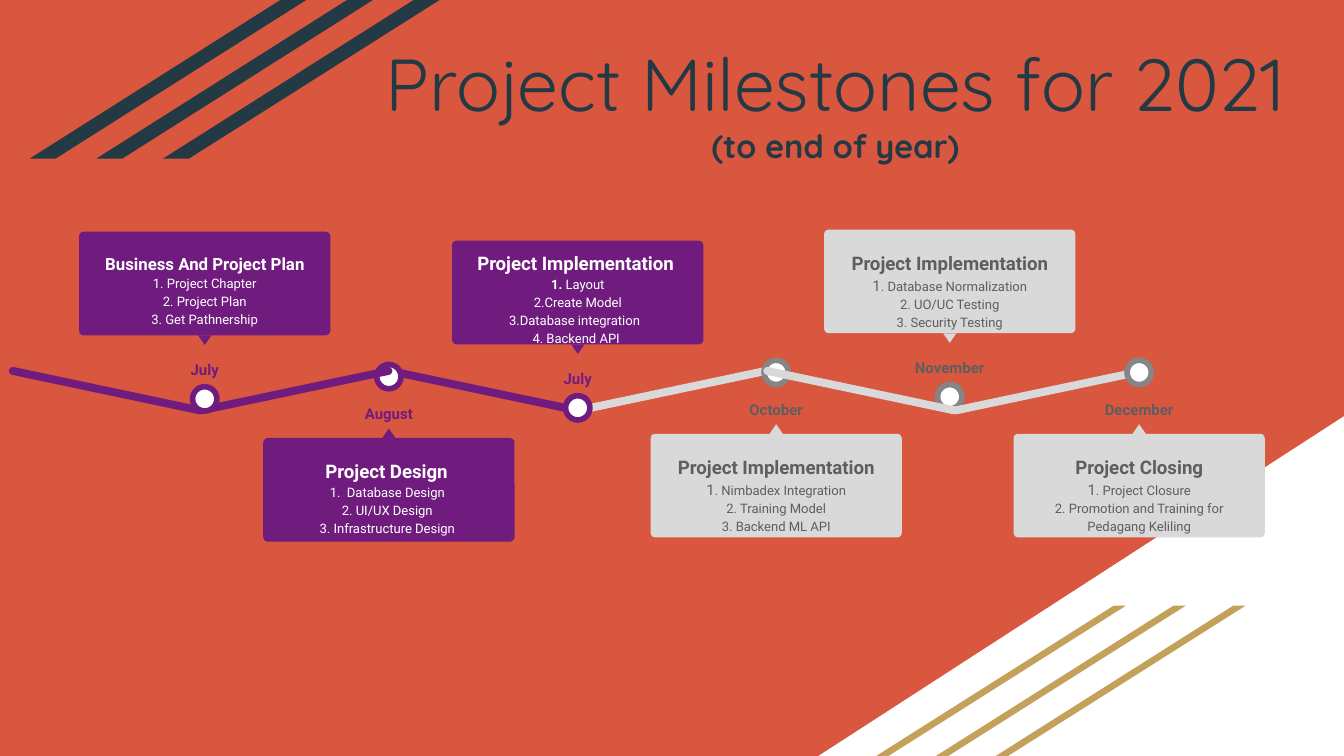
from pptx import Presentation
from pptx.dml.color import RGBColor
from pptx.enum.shapes import MSO_SHAPE
from pptx.enum.text import MSO_ANCHOR, PP_ALIGN
from pptx.util import Cm, Pt

ROUNDED, TRIANGLE = MSO_SHAPE.ROUNDED_RECTANGLE, MSO_SHAPE.ISOSCELES_TRIANGLE
CORNER, STRIPE, OVAL = MSO_SHAPE.RIGHT_TRIANGLE, MSO_SHAPE.PARALLELOGRAM, MSO_SHAPE.OVAL
TOP, MIDDLE, CENTER = MSO_ANCHOR.TOP, MSO_ANCHOR.MIDDLE, PP_ALIGN.CENTER

THEME = {
    "color": {"bg": "D9563F", "white": "FFFFFF", "gold": "C4A15A", "navy": "233A44",
              "purple": "701C7F", "light": "D9D9D9", "ring": "858585", "gray": "5E5E5E"},
    "size": {"title": 39.4, "subtitle": 17.4, "heading": 10, "long": 9, "label": 8, "item": 7},
    "display": "Quicksand", "body": "Roboto",
}
# Milestone state: card fill, ring colour, label colour, card text colour
STATES = {"done": ("purple", "purple", "purple", "white"),
          "planned": ("light", "ring", "gray", "gray")}


def add_text(box, lines, color, font, anchor=TOP, spacing=1.15):
    """Write centred lines, each a list of (text, size name, bold) runs."""
    s = slide.shapes.add_textbox(*map(Cm, box))
    tf = s.text_frame
    frame = {"word_wrap": True, "vertical_anchor": anchor}
    frame.update({f"margin_{side}": Cm(0.25) for side in ("left", "right", "top", "bottom")})
    for name, value in frame.items():
        setattr(tf, name, value)
    p = tf.paragraphs[0]
    p.alignment, p.line_spacing = CENTER, spacing
    for i, line in enumerate(lines):
        if i:
            p.add_line_break()
        for text, size, bold in line:
            r = p.add_run()
            r.text = text
            style = {"name": font, "size": Pt(THEME["size"][size]), "bold": bold}
            for name, value in style.items():
                setattr(r.font, name, value)
            r.font.color.rgb = RGBColor.from_string(THEME["color"][color])


def add_shape(kind, box, fill, adj=None, rotation=0, line=None):
    s = slide.shapes.add_shape(kind, *map(Cm, box))
    s.shadow.inherit = False
    s.fill.solid()
    s.fill.fore_color.rgb = RGBColor.from_string(THEME["color"][fill])
    if line:
        s.line.color.rgb = RGBColor.from_string(THEME["color"][line])
        s.line.width = Pt(3)
    else:
        s.line.fill.background()
    if adj is not None:
        s.adjustments[0] = adj
    s.rotation = rotation
    return s


prs = Presentation()
prs.slide_width, prs.slide_height = Cm(25.4), Cm(14.29)
slide = prs.slides.add_slide(prs.slide_layouts[6])
slide.background.fill.solid()
slide.background.fill.fore_color.rgb = RGBColor.from_string(THEME["color"]["bg"])

# Corner and diagonal stripes
corner = add_shape(CORNER, (15.47, 7.87, 9.93, 6.42), "white")
corner._element.spPr.xfrm.set("flipH", "1")
for x, y, w, h, step, color in ((16.56, 11.45, 4.72, 2.84, 1.13, "gold"),
                                (0.56, 0, 5.23, 3, 1.26, "navy")):
    for i in range(3):
        add_shape(STRIPE, (x + i * step, y, w, h), color, 1.58)

# Title
add_text((6.05, 0, 19.48, 3.84),
         [[("Project Milestones for 2021", "title", False)],
          [("(to end of year)", "subtitle", True)]],
         "navy", THEME["display"], MIDDLE, 1.0)

# Milestones from back to front: bars drawn just before, centre x, card top, above the
# line, state, label, heading, heading size, text shift, first number, items
NUMBER = ("1", "label", False)
PLAIN = ("1", "item", False)
MILESTONES = [
    ([3], 17.95, 4.34, True, "planned", "November", "Project Implementation", "heading", 0.1,
     NUMBER, [". Database Normalization", "2. UO/UC Testing", "3. Security Testing"]),
    ([2], 7.35, 8.28, False, "done", "August", "Project Design ", "heading", 0.1,
     PLAIN, [".  Database Design ", "2. UI/UX Design ", "3. Infrastructure Design "]),
    ([1], 14.67, 8.2, False, "planned", "October", "Project Implementation", "heading", 0.1,
     NUMBER, [". Nimbadex Integration", "2. Training Model", "3. Backend ML API"]),
    ([5, 4, 0], 3.87, 4.38, True, "done", "July", "Business And Project Plan", "long", 0.1,
     PLAIN, [". Project Chapter", "2. Project Plan", "3. Get Pathnership"]),
    ([], 10.92, 4.55, True, "done", "July", "Project Implementation ", "heading", -0.1,
     ("1. ", "item", True),
     ["Layout", "2.Create Model", "3.Database integration  ", "4. Backend API "]),
    ([], 21.53, 8.2, False, "planned", "December", "Project Closing", "heading", 0.1,
     NUMBER, [". Project Closure", "2. Promotion and Training for Pedagang Keliling"]),
]
CARD_W, CARD_H, TIP_W, TIP_H, DOT = 4.75, 1.96, 0.25, 0.18, 0.46
LABEL_W, LABEL_H, TEXT_W, TEXT_H = 1.93, 0.76, 4.52, 1.73

for bars, cx, top, above, state, label, heading, size, shift, number, items in MILESTONES:
    card, ring, label_color, text_color = STATES[state]

    # Zigzag bars, alternately falling and rising
    for i in bars:
        add_shape(ROUNDED, (0.13 + 3.565 * i, 7.31, 3.76, 0.15),
                  "purple" if i < 3 else "light", 0.5, -11.9 if i % 2 else 11.9)

    # Dot, label, card and pointer
    if above:
        dot_y, label_y, tip_y = top + 2.93, top + 2.19, top + CARD_H
    else:
        dot_y, label_y, tip_y = top - 1.39, top - 0.87, top - TIP_H
    add_shape(OVAL, (cx - DOT / 2, dot_y, DOT, DOT), "white", line=ring)
    add_text((cx - LABEL_W / 2, label_y, LABEL_W, LABEL_H), [[(label, "label", True)]],
             label_color, THEME["body"])
    add_shape(ROUNDED, (cx - CARD_W / 2, top, CARD_W, CARD_H), card, 0.045)
    add_shape(TRIANGLE, (cx - TIP_W / 2, tip_y, TIP_W, TIP_H), card, 0.5, 180 if above else 0)

    # Card text
    lines = [[(heading, size, True)], [number, (items[0], "item", False)]]
    lines += [[(item, "item", False)] for item in items[1:]]
    add_text((cx - TEXT_W / 2, top + shift, TEXT_W, TEXT_H), lines, text_color, THEME["body"])

prs.save("out.pptx")
